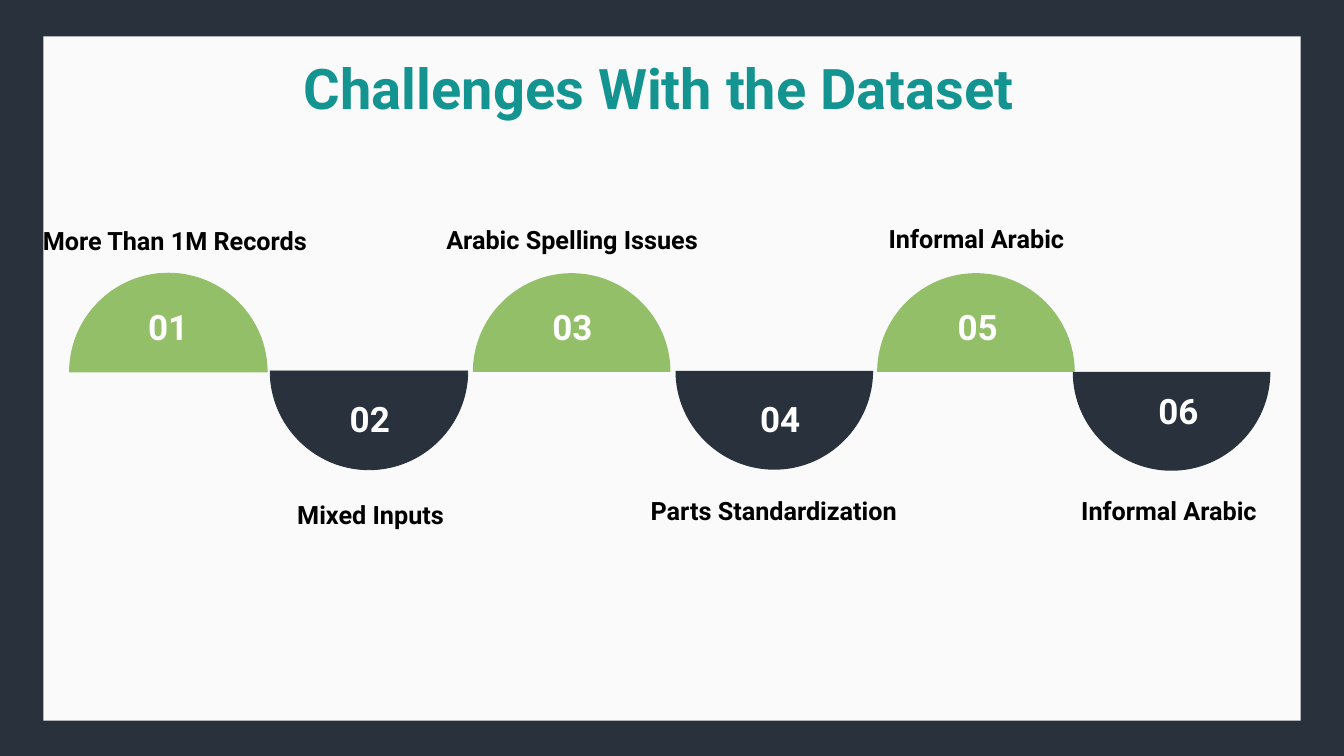
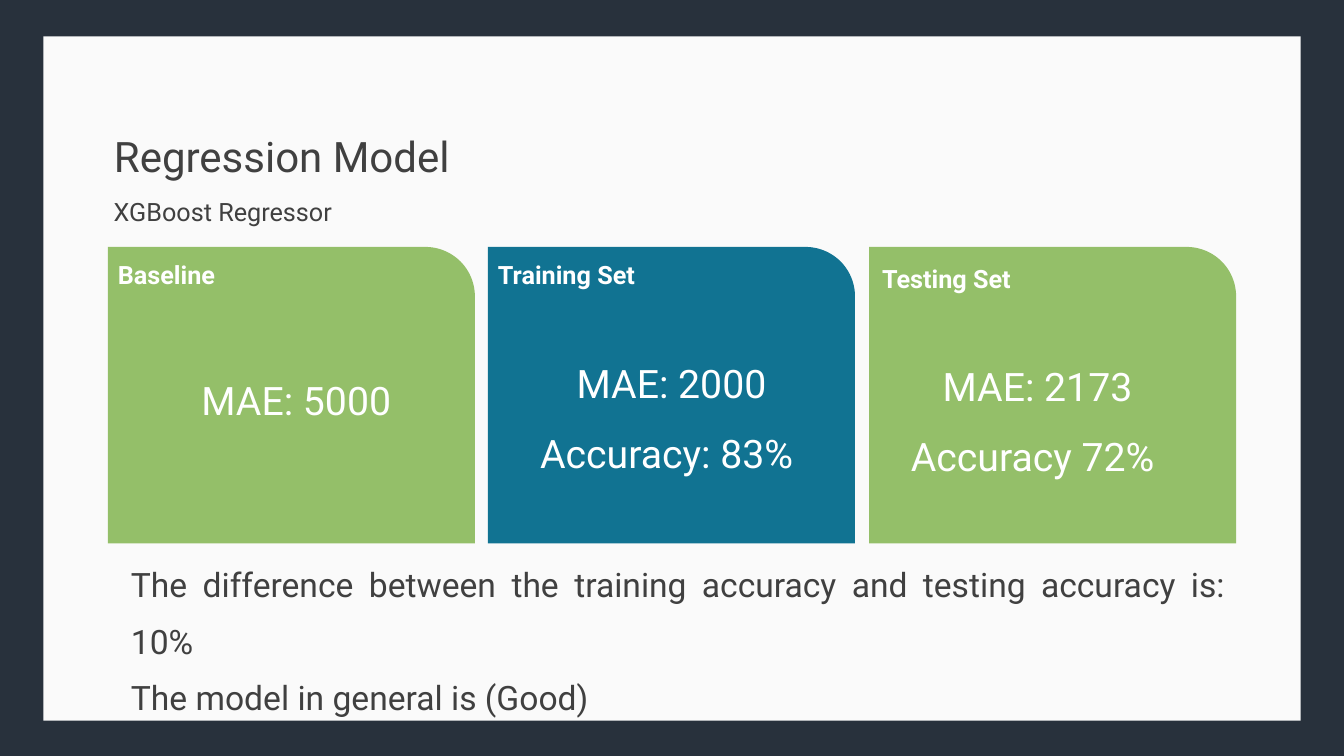
from dataclasses import dataclass

from lxml.etree import SubElement
from pptx import Presentation
from pptx.dml.color import RGBColor
from pptx.enum.shapes import MSO_SHAPE
from pptx.enum.text import MSO_ANCHOR, MSO_AUTO_SIZE, PP_ALIGN
from pptx.oxml.ns import qn
from pptx.presentation import Presentation as Deck
from pptx.shapes.base import BaseShape
from pptx.slide import Slide
from pptx.util import Emu, Pt

# Shared look
FONT = "Roboto"
NAVY, PAPER, GREEN, BLUE = "28313C", "FAFAFA", "94BF69", "117392"
TEAL, GREY, BLACK, WHITE = "139490", "404040", "000000", "FFFFFF"
TITLE_ONLY = 5
RADIUS = 98
BOW = 0.55  # handle length of a quarter circle, in radii


@dataclass(frozen=True)
class Style:
    size: int
    color: str
    bold: bool = False
    align: PP_ALIGN = PP_ALIGN.LEFT
    lead: float = 1.0
    anchor: MSO_ANCHOR = MSO_ANCHOR.TOP


@dataclass(frozen=True)
class Box:
    x: int
    y: int
    w: int
    h: int

    def emu(self) -> tuple[Emu, Emu, Emu, Emu]:
        return px(self.x), px(self.y), px(self.w), px(self.h)


@dataclass(frozen=True)
class Step:
    label: str
    left: int
    base: int
    num_x: int
    num_y: int
    text: Box
    style: Style
    edge: float = 0


@dataclass(frozen=True)
class Card:
    name: str
    head: Box
    lines: list[str]
    body: Box
    color: str
    style: Style


CENTER = PP_ALIGN.CENTER
BIG = Style(40, TEAL, True, CENTER)
PLAIN = Style(30, GREY)
SUB = Style(18, GREY)
LABEL = Style(18, BLACK, True, CENTER, 0.9)
LOOSE = Style(18, BLACK, True, lead=1.2)
NUMBER = Style(25, WHITE, True, lead=1.2, anchor=MSO_ANCHOR.BOTTOM)
HEAD = Style(18, WHITE, True, anchor=MSO_ANCHOR.BOTTOM)
SCORE = Style(28, WHITE, lead=1.07)
SCORES = Style(28, WHITE, align=CENTER, lead=1.5)
NOTE = Style(24, GREY, align=PP_ALIGN.JUSTIFY, lead=1.4)


# Helpers
def px(num: float) -> Emu:
    """100 px make one inch."""
    return Emu(round(num * 9144))


def rgb(code: str) -> RGBColor:
    return RGBColor.from_string(code)


def paint(shape: BaseShape, color: str, edge: float = 0) -> None:
    shape.fill.solid()
    shape.fill.fore_color.rgb = rgb(color)
    shape.shadow.inherit = False
    if edge:
        shape.line.color.rgb = rgb(color)
        shape.line.width = Pt(edge)
    else:
        shape.line.fill.background()


def write(shape: BaseShape, lines: list[str], style: Style) -> None:
    frame = shape.text_frame
    frame.text = "\n".join(lines)
    frame.word_wrap = True
    frame.auto_size = MSO_AUTO_SIZE.NONE
    frame.vertical_anchor = style.anchor
    for para in frame.paragraphs:
        para.alignment = style.align
        para.line_spacing = style.lead
        for run in para.runs:
            run.font.name = FONT
            run.font.size = Pt(style.size)
            run.font.bold = style.bold
            run.font.color.rgb = rgb(style.color)


def add_text(slide: Slide, box: Box, lines: list[str], style: Style) -> None:
    write(slide.shapes.add_textbox(*box.emu()), lines, style)


def add_block(slide: Slide, kind: MSO_SHAPE, box: Box, color: str) -> BaseShape:
    shape = slide.shapes.add_shape(kind, *box.emu())
    paint(shape, color)
    return shape


def add_half(slide: Slide, step: Step, up: bool) -> None:
    """Draw a half disc that stands on or hangs from its base line."""
    left, base = step.left, step.base
    peak = base - RADIUS if up else base + RADIUS
    form = slide.shapes.build_freeform(px(left), px(base), scale=1.0)
    form.add_line_segments(
        [(px(left + RADIUS), px(peak)), (px(left + 2 * RADIUS), px(base))],
        close=True)
    shape = form.convert_to_shape()

    # Bend the two sides into quarter circles
    foot, top = (RADIUS, 0) if up else (0, RADIUS)
    bend = foot + (top - foot) * BOW
    near, far = RADIUS * (1 - BOW), RADIUS * (1 + BOW)
    curves = [
        [(0, bend), (near, top), (RADIUS, top)],
        [(far, top), (2 * RADIUS, bend), (2 * RADIUS, foot)],
    ]
    for side, curve in zip(list(shape.element.iter(qn("a:lnTo"))), curves):
        side.clear()
        cubic = side.makeelement(qn("a:cubicBezTo"))
        for x, y in curve:
            SubElement(cubic, qn("a:pt"), x=str(px(x)), y=str(px(y)))
        side.getparent().replace(side, cubic)
    paint(shape, GREEN if up else NAVY, step.edge)


def add_slide(deck: Deck, title: str, box: Box, style: Style) -> Slide:
    """Start a slide with the dark frame, the light panel and a title."""
    slide = deck.slides.add_slide(deck.slide_layouts[TITLE_ONLY])
    slide.background.fill.solid()
    slide.background.fill.fore_color.rgb = rgb(NAVY)
    panel = add_block(slide, MSO_SHAPE.RECTANGLE, Box(43, 36, 1247, 679), PAPER)
    head = slide.shapes.title
    head.element.addprevious(panel.element)
    head.left, head.top, head.width, head.height = box.emu()
    write(head, [title], style)
    return slide


# Slide 1: wave of half discs
STEPS = [
    Step("More Than 1M Records", 69, 369, 137, 308,
         Box(17, 222, 313, 37), LABEL, 0.6),
    Step("Mixed Inputs", 268, 368, 337, 399,
         Box(285, 484, 313, 41), LOOSE, 0.6),
    Step("Arabic Spelling Issues", 469, 369, 538, 308,
         Box(411, 221, 313, 37), LABEL),
    Step("Parts Standardization", 670, 368, 744, 399,
         Box(611, 490, 313, 37), LABEL),
    Step("Informal Arabic", 870, 369, 940, 308,
         Box(812, 220, 313, 37), LABEL),
    Step("Informal Arabic", 1064, 369, 1139, 391,
         Box(1003, 490, 313, 37), LABEL),
]


def add_wave(deck: Deck) -> None:
    slide = add_slide(deck, "Challenges With the Dataset",
                      Box(216, 48, 875, 77), BIG)
    for num, step in enumerate(STEPS, 1):
        add_half(slide, step, num % 2 == 1)
        add_text(slide, Box(step.num_x, step.num_y, 78, 42), [f"{num:02}"], NUMBER)
        add_text(slide, step.text, [step.label], step.style)


# Slide 2: score cards
CARDS = [
    Card("Baseline", Box(107, 250, 269, 42), ["MAE: 5000"],
         Box(190, 365, 248, 68), GREEN, SCORE),
    Card("Training Set", Box(484, 250, 269, 42), ["MAE: 2000", "Accuracy: 83% "],
         Box(484, 328, 364, 132), BLUE, SCORES),
    Card("Testing Set", Box(865, 254, 269, 42), ["MAE: 2173", "Accuracy 72% "],
         Box(868, 331, 322, 107), GREEN, SCORES),
]


def add_model(deck: Deck) -> None:
    slide = add_slide(deck, "Regression Model", Box(103, 124, 490, 60), PLAIN)
    add_text(slide, Box(103, 190, 397, 40), ["XGBoost Regressor"], SUB)
    first, last, width = 107, 862, 364
    for i, card in enumerate(CARDS):
        left = first + i * (last - first) // (len(CARDS) - 1)
        add_block(slide, MSO_SHAPE.ROUND_1_RECTANGLE,
                  Box(left, 245, width, 294), card.color)
        add_text(slide, card.head, [card.name], HEAD)
        add_text(slide, card.body, card.lines, card.style)
    add_text(slide, Box(120, 539, 1105, 114), [
        "The difference between the training accuracy and testing accuracy is: 10%",
        "The model in general is (Good)",
    ], NOTE)


def main() -> None:
    deck = Presentation()
    deck.slide_width, deck.slide_height = px(1333), px(750)
    add_wave(deck)
    add_model(deck)
    deck.save("out.pptx")


if __name__ == "__main__":
    main()
